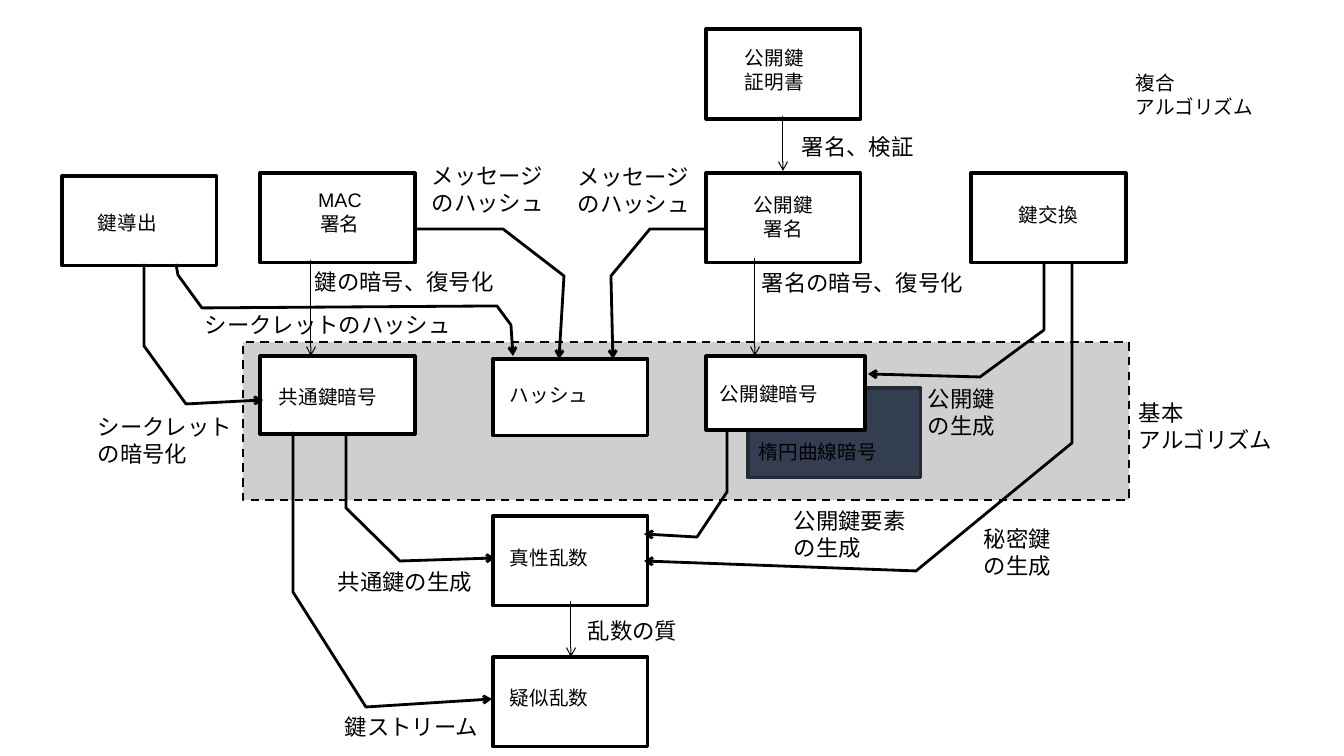
from pptx import Presentation
from pptx.dml.color import RGBColor
from pptx.enum.dml import MSO_LINE_DASH_STYLE as Dash
from pptx.enum.shapes import MSO_CONNECTOR as Connector, MSO_SHAPE as Shape
from pptx.enum.text import MSO_AUTO_SIZE as AutoSize, PP_ALIGN as Align
from pptx.oxml.ns import qn
from pptx.oxml.xmlchemy import OxmlElement
from pptx.util import Pt

SCALE = 914400 / 100.8  # EMU per pixel
SLIDE_SIZE = (1344, 756)
BOX_SIZE = (155, 90)
BLACK = RGBColor(0x00, 0x00, 0x00)
WHITE = RGBColor(0xFF, 0xFF, 0xFF)
GREY = RGBColor(0xD0, 0xCE, 0xCE)
NAVY = RGBColor(0x33, 0x3F, 0x50)
DARK_NAVY = RGBColor(0x22, 0x2A, 0x35)

NAME_SIZE, CAPTION_SIZE = 14, 16
TEXT_HEIGHTS = {NAME_SIZE: (40, 71), CAPTION_SIZE: (37, 64)}  # one line, two lines
FRAME_FORMAT = {"word_wrap": False, "auto_size": AutoSize.SHAPE_TO_FIT_TEXT}

# left, top, width, height
BASIC_REGION = (243, 342, 886, 158)
BOXES = [
    (260, 173, *BOX_SIZE),  # MAC
    (260, 356, 155, 78),    # common key cipher
    (493, 516, *BOX_SIZE),  # true random numbers
    (493, 657, *BOX_SIZE),  # pseudo random numbers
    (493, 359, 155, 77),    # hash
    (706, 173, *BOX_SIZE),  # public key signature
    (971, 173, *BOX_SIZE),  # key exchange
    (706, 29, *BOX_SIZE),   # certificate
    (62, 176, *BOX_SIZE),   # key derivation
]
ELLIPTIC_BOX = (748, 388, 173, 90)
PUBLIC_KEY_BOX = (706, 356, 159, 74)

# x, top, bottom
STRAIGHT_ARROWS = [(311, 260, 356), (755, 258, 356), (571, 601, 657), (783, 116, 171)]

BENT_ARROWS = [
    [(346, 433), (346, 508), (400, 561), (495, 558)],
    [(727, 428), (727, 492), (697, 537), (644, 534)],
    [(706, 229), (650, 229), (611, 276), (613, 359)],
    [(416, 229), (503, 229), (564, 276), (559, 359)],
    [(1044, 264), (1044, 330), (980, 377), (868, 374)],
    [(1072, 264), (1072, 443), (916, 571), (644, 561)],
    [(144, 264), (144, 346), (186, 404), (263, 400)],
    [(176, 264), (178, 275), (202, 308), (497, 306), (511, 325), (513, 356)],
    [(293, 432), (293, 592), (366, 707), (492, 699)],
]

# left, top, width, text
NAMES = [
    (269, 380, 147, "共通鍵暗号"),
    (500, 378, 122, "ハッシュ"),
    (500, 541, 122, "真性乱数"),
    (500, 681, 122, "疑似乱数"),
    (735, 41, 97, "公開鍵\n証明書"),
    (88, 206, 97, "鍵導出"),
    (710, 377, 147, "公開鍵暗号"),
    (749, 435, 173, "楕円曲線暗号"),
    (1126, 66, 173, "複合\nアルゴリズム"),
]
CENTERED_NAMES = [
    (301, 183, 78, "MAC\n署名"),
    (735, 188, 97, "公開鍵\n署名"),
    (1000, 198, 97, "鍵交換"),
]
CAPTIONS = [
    (578, 612, 111, "乱数の質"),
    (328, 563, 156, "共通鍵の生成"),
    (784, 502, 133, "公開鍵要素\nの生成"),
    (305, 263, 202, "鍵の暗号、復号化"),
    (568, 158, 133, "メッセージ\nのハッシュ"),
    (792, 128, 133, "署名、検証"),
    (752, 264, 224, "署名の暗号、復号化"),
    (974, 520, 89, "秘密鍵\nの生成"),
    (918, 380, 89, "公開鍵\nの生成"),
    (422, 157, 133, "メッセージ\nのハッシュ"),
    (195, 306, 269, "シークレットのハッシュ"),
    (88, 408, 156, "シークレット\nの暗号化"),
    (1129, 394, 156, "基本\nアルゴリズム"),
    (335, 708, 156, "鍵ストリーム"),
]


def emu(*pixels):
    return [round(value * SCALE) for value in pixels]


def set_attributes(target, values):
    for name, value in values.items():
        setattr(target, name, value)


def set_line(shape, color, width, dash=None):
    shape.line.color.rgb = color
    shape.line.width = Pt(width)
    if dash:
        shape.line.dash_style = dash


def add_box(slide, bounds, fill=WHITE, line=BLACK, width=2.25, dash=None):
    shape = slide.shapes.add_shape(Shape.RECTANGLE, *emu(*bounds))
    shape.shadow.inherit = False
    shape.fill.solid()
    shape.fill.fore_color.rgb = fill
    set_line(shape, line, width, dash)


def add_arrowhead(shape):
    tail = OxmlElement("a:tailEnd")
    tail.set("type", "arrow")
    shape._element.spPr.find(qn("a:ln")).append(tail)


def add_straight_arrow(slide, x, top, bottom):
    connector = slide.shapes.add_connector(Connector.STRAIGHT, *emu(x, top, x, bottom))
    set_line(connector, BLACK, 0.75)
    add_arrowhead(connector)
    connector._element.spPr.append(OxmlElement("a:effectLst"))


def add_bent_arrow(slide, points):
    builder = slide.shapes.build_freeform(*points[0], scale=SCALE)
    builder.add_line_segments(points[1:], close=False)
    shape = builder.convert_to_shape()
    shape.shadow.inherit = False
    shape.fill.background()
    set_line(shape, BLACK, 2)
    add_arrowhead(shape)


def add_label(slide, left, top, width, text, size, align=Align.LEFT):
    lines = text.split("\n")
    height = TEXT_HEIGHTS[size][len(lines) - 1]
    frame = slide.shapes.add_textbox(*emu(left, top, width, height)).text_frame
    set_attributes(frame, FRAME_FORMAT)
    frame.text = text
    for paragraph in frame.paragraphs:
        paragraph.alignment = align
        for run in paragraph.runs:
            set_attributes(run.font, {"name": "Arial", "size": Pt(size)})
            run.font.color.rgb = BLACK


def main():
    presentation = Presentation()
    presentation.slide_width, presentation.slide_height = emu(*SLIDE_SIZE)
    slide = presentation.slides.add_slide(presentation.slide_layouts[6])

    # Region of basic algorithms and the boxes
    add_box(slide, BASIC_REGION, GREY, width=1.5, dash=Dash.DASH)
    for bounds in BOXES:
        add_box(slide, bounds)

    # Arrows
    for arrow in STRAIGHT_ARROWS:
        add_straight_arrow(slide, *arrow)
    for points in BENT_ARROWS:
        add_bent_arrow(slide, points)

    # Overlapping public key boxes
    add_box(slide, ELLIPTIC_BOX, NAVY, DARK_NAVY)
    add_box(slide, PUBLIC_KEY_BOX)

    # Names and captions
    for name in NAMES:
        add_label(slide, *name, NAME_SIZE)
    for name in CENTERED_NAMES:
        add_label(slide, *name, NAME_SIZE, Align.CENTER)
    for caption in CAPTIONS:
        add_label(slide, *caption, CAPTION_SIZE)

    presentation.save("out.pptx")


main()
